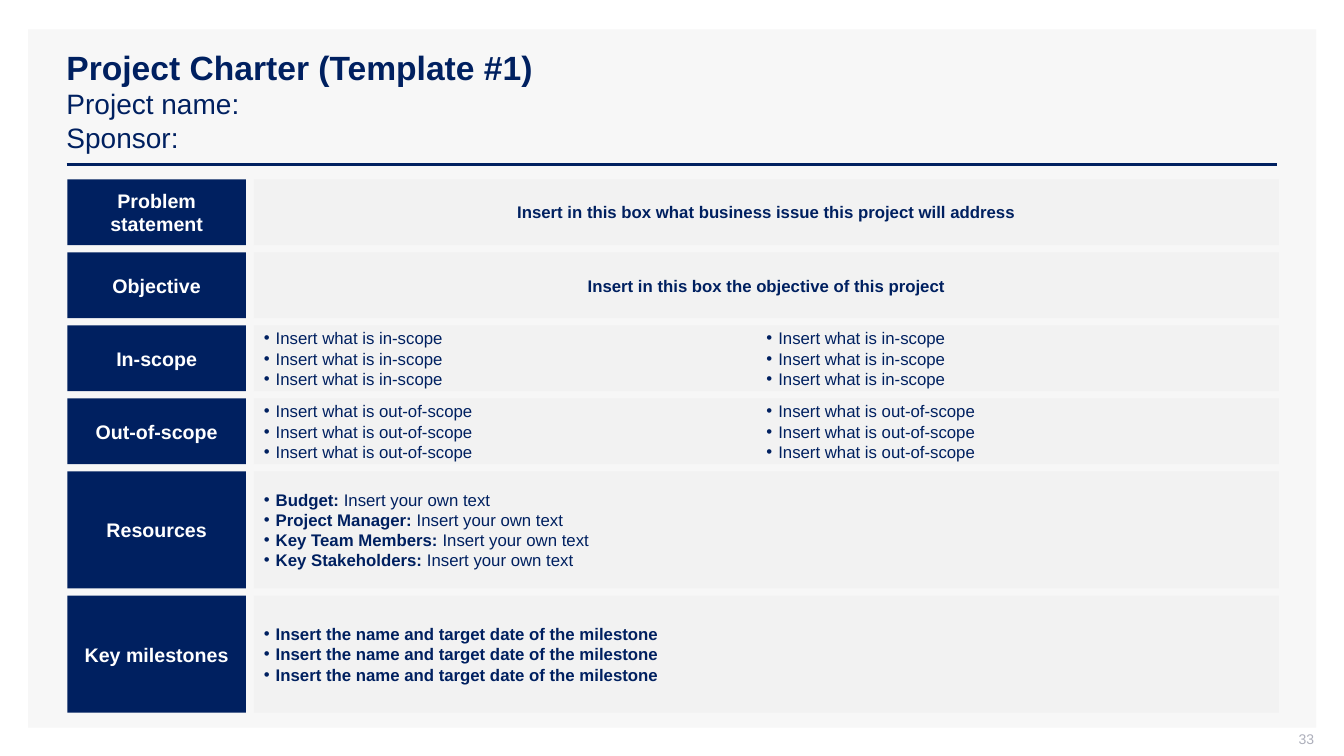
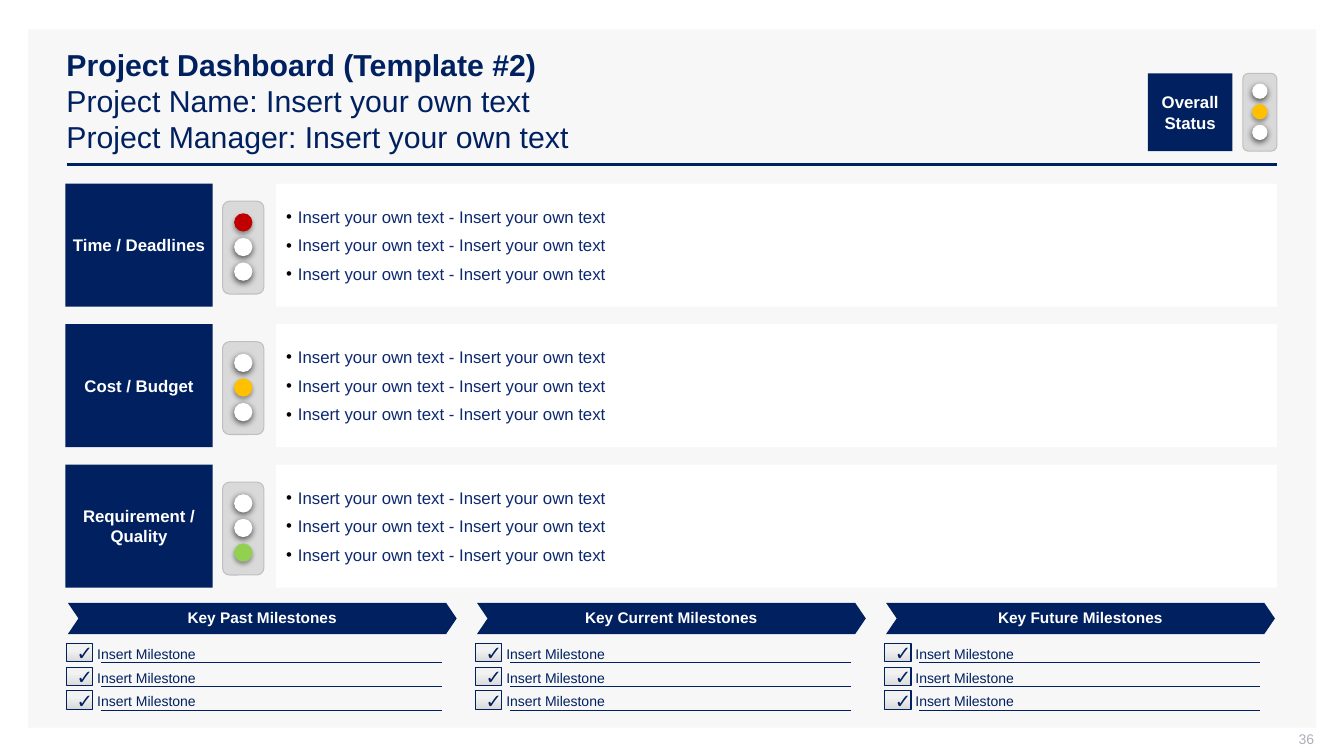
from dataclasses import dataclass

from lxml import etree
from pptx import Presentation
from pptx.dml.color import RGBColor
from pptx.enum.shapes import MSO_CONNECTOR, MSO_SHAPE
from pptx.enum.text import MSO_ANCHOR, MSO_AUTO_SIZE, PP_ALIGN
from pptx.oxml.ns import qn
from pptx.util import Cm, Pt

RECT, ROUNDED = MSO_SHAPE.RECTANGLE, MSO_SHAPE.ROUNDED_RECTANGLE
OVAL, CHEVRON = MSO_SHAPE.OVAL, MSO_SHAPE.CHEVRON
LEFT, CENTER, RIGHT = PP_ALIGN.LEFT, PP_ALIGN.CENTER, PP_ALIGN.RIGHT
TOP, MIDDLE = MSO_ANCHOR.TOP, MSO_ANCHOR.MIDDLE


@dataclass(frozen=True)
class Theme:
    font: str = "Arial"
    navy: str = "002060"
    ink: str = "0C2870"
    white: str = "FFFFFF"
    black: str = "000000"
    panel: str = "F7F7F7"
    field: str = "F2F2F2"
    housing: str = "D9D9D9"
    housing_edge: str = "BFBFBF"
    page: str = "ADAFBB"
    red: str = "C00000"
    amber: str = "FFC000"
    green: str = "92D050"
    label: float = 14
    body: float = 12
    chevron: float = 11
    small: float = 10


T = Theme()
INSETS = (0.25, 0.13, 0.25, 0.13)
FLUSH = (0, 0.13, 0, 0.13)

CHARTER_TITLE = [("Project Charter (Template #1)", 24), ("Project name:", 20), ("Sponsor:", 20)]
# label, height, kind, lines; a line is plain text or (bold lead, text)
CHARTER_ROWS = [
    ("Problem statement", 1.66, "statement",
     ["Insert in this box what business issue this project will address"]),
    ("Objective", 1.66, "statement", ["Insert in this box the objective of this project"]),
    ("In-scope", 1.66, "columns", ["Insert what is in-scope"] * 6),
    ("Out-of-scope", 1.66, "columns", ["Insert what is out-of-scope"] * 6),
    ("Resources", 2.95, "list", [
        (lead, "Insert your own text")
        for lead in ("Budget: ", "Project Manager: ", "Key Team Members: ", "Key Stakeholders: ")]),
    ("Key milestones", 2.95, "list",
     [("Insert the name and target date of the milestone", "")] * 3),
]

DASHBOARD_TITLE = [("Project Dashboard (Template #2)", 21.6),
                   ("Project Name: Insert your own text", 21.6),
                   ("Project Manager: Insert your own text", 21.6)]
LAMPS = [T.red, T.amber, T.green]
DASHBOARD_ROWS = [("Time / Deadlines", T.red), ("Cost / Budget", T.amber),
                  ("Requirement / Quality", T.green)]
DASHBOARD_LINES = ["Insert your own text - Insert your own text"] * 3
OVERALL = ("Overall Status", T.amber)
MILESTONES = [(f"Key {period} Milestones", ["Insert Milestone"] * 3)
              for period in ("Past", "Current", "Future")]


def rgb(color):
    return RGBColor.from_string(color)


def add_child(parent, tag, **attrs):
    child = etree.SubElement(parent, qn(tag))
    for name, value in attrs.items():
        child.set(name, str(value))
    return child


def add_bullet(p, color):
    pPr = p._p.get_or_add_pPr()
    pPr.set("marL", str(Cm(0.3)))
    pPr.set("indent", str(-Cm(0.3)))
    add_child(add_child(pPr, "a:buClr"), "a:srgbClr", val=color)
    add_child(pPr, "a:buFont", typeface=T.font)
    add_child(pPr, "a:buChar", char="•")


def style_font(p, size, color, bold=None):
    f = p.font
    f.name, f.size, f.bold = T.font, Pt(size), bold
    f.color.rgb = rgb(color)


def write(shape, lines, size, color, bold=None, align=LEFT, anchor=MIDDLE,
          insets=INSETS, bullet=None, gap=0):
    tf = shape.text_frame
    tf.word_wrap = True
    tf.vertical_anchor = anchor
    (tf.margin_left, tf.margin_top,
     tf.margin_right, tf.margin_bottom) = (Cm(v) for v in insets)
    for i, line in enumerate(lines):
        p = tf.paragraphs[0] if i == 0 else tf.add_paragraph()
        p.alignment = align
        if bullet:
            add_bullet(p, bullet)
        if i and gap:
            p.space_before = Pt(gap)
        style_font(p, size, color, bold)
        lead, text = line if isinstance(line, tuple) else ("", line)
        if lead:
            r = p.add_run()
            r.text, r.font.bold = lead, True
        if text:
            p.add_run().text = text
    return tf


def add_box(s, kind, x, y, w, h, fill, edge=None):
    sp = s.shapes.add_shape(kind, Cm(x), Cm(y), Cm(w), Cm(h))
    sp.shadow.inherit = False
    sp.fill.solid()
    sp.fill.fore_color.rgb = rgb(fill)
    if edge:
        sp.line.color.rgb = rgb(edge)
        sp.line.width = Pt(0.75)
    else:
        sp.line.fill.background()
    return sp


def add_label(s, x, y, w, h, text, size, insets=INSETS):
    write(add_box(s, RECT, x, y, w, h, T.navy), [text], size, T.white, True, CENTER,
          insets=insets)


def add_text(s, x, y, w, h, text, color, **options):
    tb = s.shapes.add_textbox(Cm(x), Cm(y), Cm(w), Cm(h))
    write(tb, [text], T.small, color, **options)


def add_rule(s, x, y, w, width):
    line = s.shapes.add_connector(MSO_CONNECTOR.STRAIGHT, Cm(x), Cm(y), Cm(x + w), Cm(y))
    line.line.color.rgb = rgb(T.navy)
    line.line.width = Pt(width)
    add_child(line._element.spPr, "a:effectLst")
    return line


def add_lamp_shadow(lamp, alpha, blur, distance):
    effects = lamp._element.spPr.find(qn("a:effectLst"))
    shadow = add_child(effects, "a:outerShdw", blurRad=Pt(blur), dist=Pt(distance),
                       dir=5400000, algn="ctr", rotWithShape=0)
    add_child(add_child(shadow, "a:srgbClr", val=T.black), "a:alpha", val=alpha * 1000)


def add_traffic_light(s, x, y, w, h, status):
    add_box(s, ROUNDED, x, y, w, h, T.housing, T.housing_edge)
    d = 0.197 * h
    for i, color in enumerate(LAMPS):
        lit = color == status
        lamp = add_box(s, OVAL, x + (w - d) / 2, y + (0.13 + 0.265 * i) * h, d, d,
                       color if lit else T.white)
        add_lamp_shadow(lamp, *((35, 3.1, 1.8) if lit else (63, 4.5, 1.5)))


def set_up_layout(layout, s):
    """Put the panel and title rule behind everything that uses the layout."""
    backdrop = [add_box(s, RECT, 0.71, 0.74, 32.46, 17.6, T.panel),
                add_rule(s, 1.68, 4.14, 30.5, 2)]
    for i, shape in enumerate(backdrop):
        layout.shapes._spTree.insert(2 + i, shape._element)
    title = layout.placeholders[0]
    title.left, title.top, title.width, title.height = Cm(1.42), Cm(1.02), Cm(30.76), Cm(3.02)


def add_heading(s, lines, page):
    tf = s.shapes.title.text_frame
    tf.auto_size = MSO_AUTO_SIZE.NONE
    tf.vertical_anchor = MIDDLE
    for i, (text, size) in enumerate(lines):
        p = tf.paragraphs[0] if i == 0 else tf.add_paragraph()
        p.alignment = LEFT
        style_font(p, size, T.navy, i == 0)
        p.add_run().text = text
    add_text(s, 25.5, 18.42, 7.62, 0.53, page, T.page, align=RIGHT, insets=(0.25, 0, 0, 0.13))


def build_charter(s):
    add_heading(s, CHARTER_TITLE, "33")
    y, gap = 4.52, 0.18
    for label, h, kind, lines in CHARTER_ROWS:
        add_label(s, 1.7, y, 4.5, h, label, T.label)
        field = add_box(s, RECT, 6.4, y, 25.83, h, T.field)
        if kind == "statement":
            write(field, lines, T.body, T.navy, True, CENTER)
        else:
            tf = write(field, lines, T.body, T.navy, bullet=T.navy)
            if kind == "columns":
                tf._txBody.bodyPr.set("numCol", "2")
        y += h + gap


def add_checkbox(s, x, y):
    box = add_box(s, RECT, x, y, 0.66, 0.47, T.field, T.navy)
    box.fill.gradient()
    box.fill.gradient_angle = 270
    for stop, position, color in zip(box.fill.gradient_stops, (0.34, 1), (T.field, T.housing)):
        stop.position = position
        stop.color.rgb = rgb(color)
    write(box, ["✓"], T.label, T.navy, align=CENTER)


def add_milestones(s, x, heading, items):
    banner = add_box(s, CHEVRON, x + 0.03, 15.19, 9.8, 0.79, T.navy)
    banner.adjustments[0] = 0.34
    tf = write(banner, [heading], T.chevron, T.white, True, CENTER, insets=(0, 0.1, 0, 0.1))
    tf.paragraphs[0].line_spacing = Pt(12)
    for i, item in enumerate(items):
        y = 16.21 + 0.6 * i
        add_checkbox(s, x, y)
        add_rule(s, x + 0.86, y + 0.48, 8.6, 0.5)
        add_text(s, x + 0.52, y - 0.08, 8.94, 0.61, item, T.navy, anchor=TOP)


def build_dashboard(s):
    add_heading(s, DASHBOARD_TITLE, "36")
    label, status = OVERALL
    add_label(s, 28.93, 1.85, 2.13, 1.96, label, T.body, FLUSH)
    add_traffic_light(s, 31.32, 1.85, 0.86, 1.96, status)
    for i, (label, status) in enumerate(DASHBOARD_ROWS):
        y = 4.63 + 3.54 * i
        add_label(s, 1.65, y, 3.71, 3.1, label, T.body, FLUSH)
        add_traffic_light(s, 5.61, y + 0.44, 1.04, 2.34, status)
        write(add_box(s, RECT, 6.96, y, 25.22, 3.1, T.white), DASHBOARD_LINES,
              T.body, T.ink, bullet=T.black, gap=6)
    for i, (heading, items) in enumerate(MILESTONES):
        add_milestones(s, 1.68 + 10.31 * i, heading, items)


def main():
    prs = Presentation()
    prs.slide_width, prs.slide_height = Cm(33.87), Cm(19.05)
    layout = prs.slide_layouts[5]
    charter, dashboard = (prs.slides.add_slide(layout) for _ in range(2))
    set_up_layout(layout, charter)
    build_charter(charter)
    build_dashboard(dashboard)
    prs.save("out.pptx")


if __name__ == "__main__":
    main()
